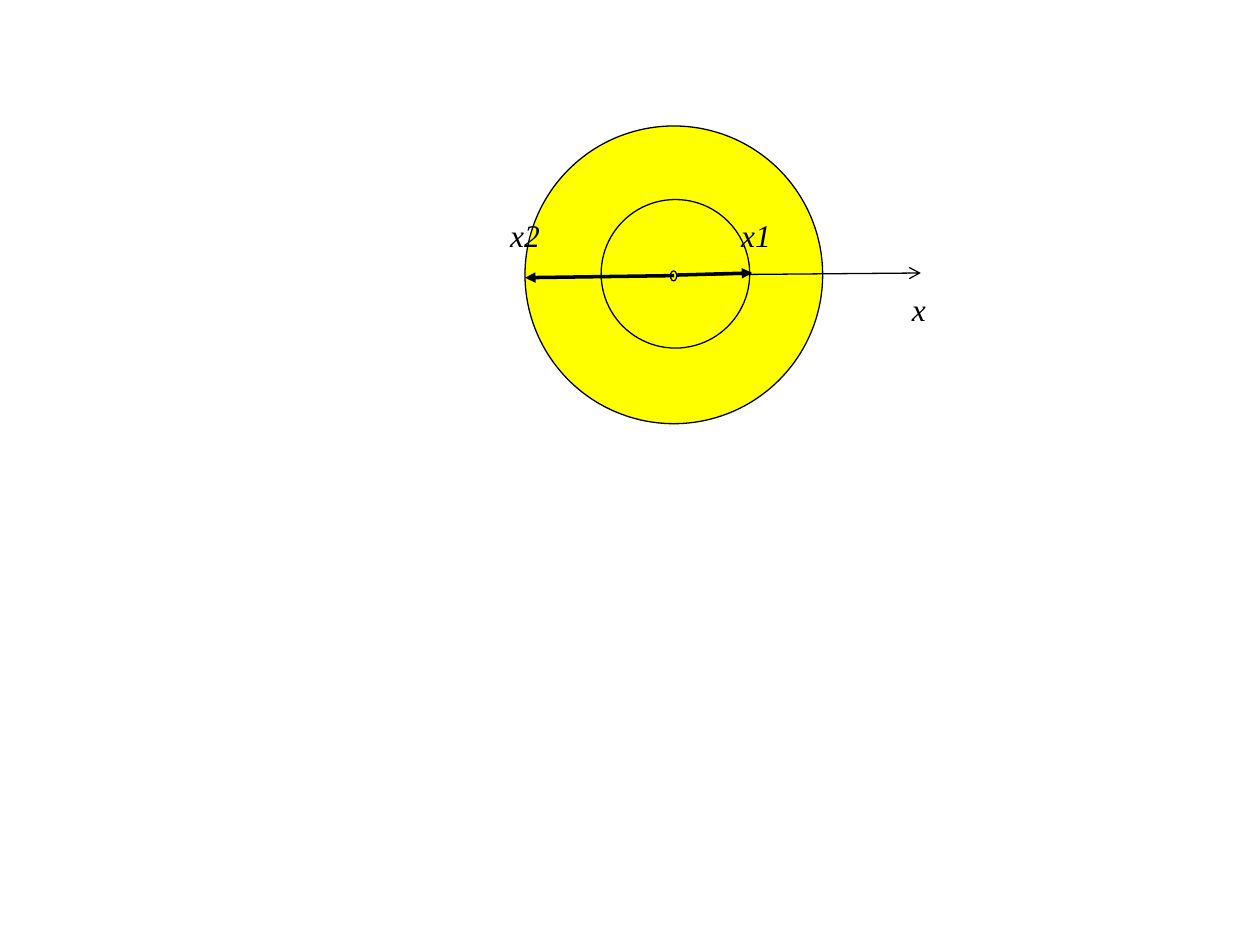
from typing import NamedTuple

from lxml.etree import SubElement
from pptx import Presentation
from pptx.dml.color import RGBColor
from pptx.enum.shapes import MSO_CONNECTOR, MSO_SHAPE
from pptx.enum.text import MSO_AUTO_SIZE, PP_ALIGN
from pptx.oxml.ns import qn
from pptx.slide import Slide
from pptx.util import Emu, Inches, Pt

BLACK = RGBColor(0, 0, 0)
YELLOW = RGBColor(255, 255, 0)
FONT = "Times New Roman"
COLUMNS = 120
SLIDE_WIDTH, SLIDE_HEIGHT = Inches(10), Inches(7.5)
CELL = SLIDE_WIDTH / COLUMNS


class Ellipse(NamedTuple):
    col: float
    row: float
    cols: float
    rows: float


class Arrow(NamedTuple):
    col: float
    row: float
    end_col: float
    end_row: float
    weight: float
    head: str


class Label(NamedTuple):
    text: str
    col: float
    row: float
    cols: float
    rows: float = 4.8


DISCS = [Ellipse(50, 12, 28.35, 28.35), Ellipse(57.25, 19, 14.15, 14.15)]
AXIS = Arrow(64.1, 26.2, 87.7, 26, 0.75, "arrow")
CENTRE = Ellipse(63.85, 25.8, 0.6, 0.95)
RADII = [
    Arrow(64.4, 26.2, 71.65, 26, 2, "triangle"),
    Arrow(64.2, 26.25, 50, 26.45, 2, "triangle"),
]
LABELS = [Label("x", 83, 27, 9), Label("x1", 68, 20, 8), Label("x2", 46, 20, 8)]


def grid(*cells: float) -> list[Emu]:
    return [Emu(round(n * CELL)) for n in cells]


def draw_ellipse(s: Slide, ellipse: Ellipse) -> None:
    sp = s.shapes.add_shape(MSO_SHAPE.OVAL, *grid(*ellipse))
    sp.shadow.inherit = False
    sp.fill.solid()
    sp.fill.fore_color.rgb = YELLOW
    sp.line.color.rgb = BLACK
    sp.line.width = Pt(0.75)


def draw_arrow(s: Slide, arrow: Arrow) -> None:
    ends = grid(arrow.col, arrow.row, arrow.end_col, arrow.end_row)
    cx = s.shapes.add_connector(MSO_CONNECTOR.STRAIGHT, *ends)
    cx.line.color.rgb = BLACK
    cx.line.width = Pt(arrow.weight)
    SubElement(cx.line._get_or_add_ln(), qn("a:tailEnd"), type=arrow.head)
    SubElement(cx._element.spPr, qn("a:effectLst"))


def draw_label(s: Slide, label: Label) -> None:
    box = grid(label.col, label.row, label.cols, label.rows)
    tf = s.shapes.add_textbox(*box).text_frame
    tf.word_wrap = True
    tf.auto_size = MSO_AUTO_SIZE.SHAPE_TO_FIT_TEXT
    tf.text = label.text
    p = tf.paragraphs[0]
    p.alignment = PP_ALIGN.CENTER
    r = p.runs[0]
    r.font.name = FONT
    r.font.size = Pt(18)
    r.font.italic = True
    r.font.color.rgb = BLACK


def main() -> None:
    prs = Presentation()
    prs.slide_width, prs.slide_height = SLIDE_WIDTH, SLIDE_HEIGHT
    s = prs.slides.add_slide(prs.slide_layouts[6])
    for disc in DISCS:
        draw_ellipse(s, disc)
    draw_arrow(s, AXIS)
    draw_ellipse(s, CENTRE)
    for radius in RADII:
        draw_arrow(s, radius)
    for label in LABELS:
        draw_label(s, label)
    prs.save("out.pptx")


if __name__ == "__main__":
    main()
